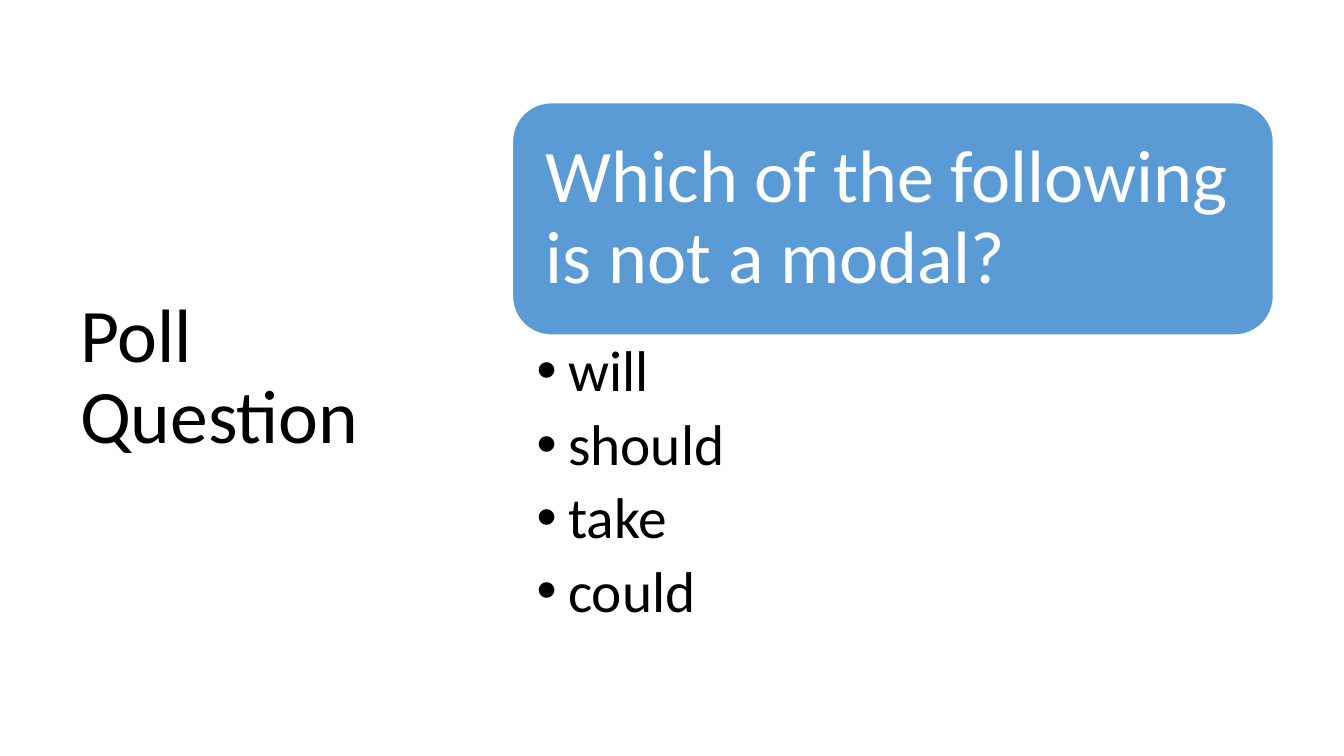
import pptx
import pptx.util
import pptx.dml.color
import pptx.enum.shapes
import pptx.enum.text
import pptx.oxml.ns
import lxml.etree

Pt = pptx.util.Pt
BLACK = pptx.dml.color.RGBColor(0x00, 0x00, 0x00)
WHITE = pptx.dml.color.RGBColor(0xFF, 0xFF, 0xFF)
BLUE = pptx.dml.color.RGBColor(0x5B, 0x9B, 0xD5)


def place(box, left, top, width, height):
    box.left, box.top, box.width, box.height = Pt(left), Pt(top), Pt(width), Pt(height)


def format_text(box, size, color, anchor, insets, space_after=0):
    frame = box.text_frame
    frame.word_wrap = True
    frame.auto_size = pptx.enum.text.MSO_AUTO_SIZE.NONE
    frame.vertical_anchor = anchor
    frame.margin_left, frame.margin_top, frame.margin_right, frame.margin_bottom = map(Pt, insets)
    for para in frame.paragraphs:
        para.alignment = pptx.enum.text.PP_ALIGN.LEFT
        para.line_spacing = 0.9
        para.space_before = Pt(0)
        para.space_after = Pt(space_after)
        for span in para.runs:
            span.font.name = "Calibri"
            span.font.size = Pt(size)
            span.font.color.rgb = color


deck = pptx.Presentation()
deck.slide_width, deck.slide_height = Pt(960), Pt(540)
page = deck.slides.add_slide(deck.slide_layouts[1])
title, answers = page.placeholders
middle = pptx.enum.text.MSO_ANCHOR.MIDDLE

# Title
place(title, 50, 50.4, 269, 440)
title.text_frame.text = "Poll Question"
format_text(title, 54, BLACK, middle, (7.2, 3.6, 7.2, 3.6))

# Question banner
banner = page.shapes.add_shape(
    pptx.enum.shapes.MSO_SHAPE.ROUNDED_RECTANGLE, Pt(366), Pt(73.4), Pt(543.6), Pt(166))
banner.shadow.inherit = False
banner.fill.solid()
banner.fill.fore_color.rgb = BLUE
banner.line.color.rgb = WHITE
banner.line.width = Pt(1)
banner.text_frame.text = "Which of the following is not a modal?"
format_text(banner, 53, WHITE, middle, (15.8, 8, 15.8, 8))

# Answer choices
place(answers, 366, 239.4, 543.6, 224.6)
answers.text_frame.text = "\n".join(["will", "should", "take", "could"])
for para in answers.text_frame.paragraphs:
    properties = para._p.get_or_add_pPr()
    properties.set("marL", str(Pt(22.5)))
    properties.set("indent", str(Pt(-22.5)))
    bullet = lxml.etree.SubElement(properties, pptx.oxml.ns.qn("a:buChar"))
    bullet.set("char", "•")
format_text(answers, 41, BLACK, pptx.enum.text.MSO_ANCHOR.TOP, (17.3, 5, 29.5, 5), 8.2)

deck.save("out.pptx")
